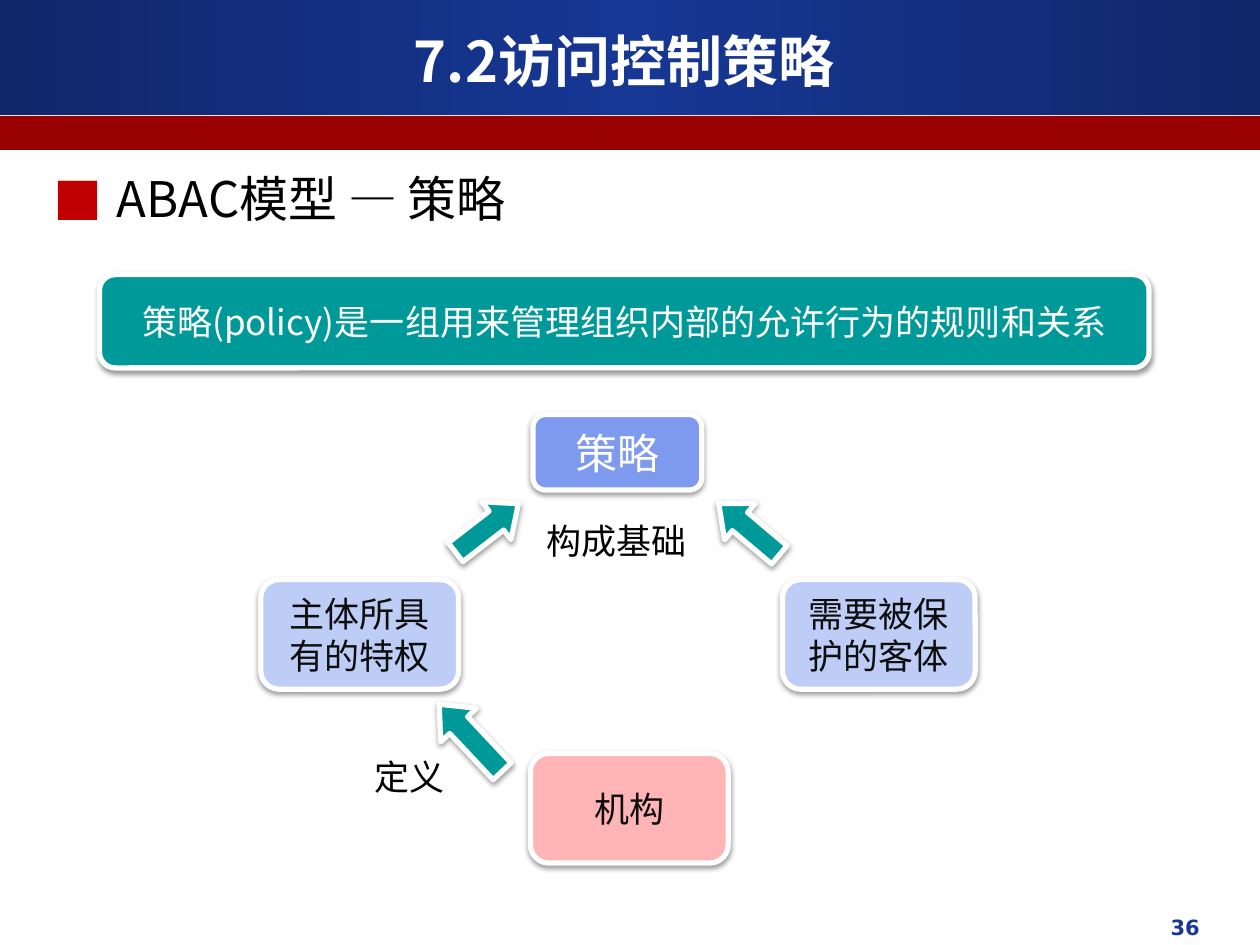
from copy import deepcopy
from dataclasses import dataclass

from lxml import etree
from pptx import Presentation
from pptx.dml.color import RGBColor
from pptx.enum.shapes import MSO_SHAPE as Preset
from pptx.enum.text import MSO_ANCHOR as Anchor, PP_ALIGN as Align
from pptx.oxml.ns import qn
from pptx.util import Inches, Pt

NAVY = RGBColor(0x10, 0x27, 0x6A)
BLUE = RGBColor(0x16, 0x37, 0x94)
DARK_RED = RGBColor(0x99, 0x00, 0x00)
TEAL = RGBColor(0x00, 0x99, 0x99)
PERIWINKLE = RGBColor(0x7E, 0x9A, 0xEE)
PALE_BLUE = RGBColor(0xBE, 0xCD, 0xF6)
PINK = RGBColor(0xFF, 0xB5, 0xB5)
WHITE = RGBColor(0xFF, 0xFF, 0xFF)
BLACK = RGBColor(0x00, 0x00, 0x00)
INK = RGBColor(0x0D, 0x0D, 0x0D)
CJK_FONT = "Noto Sans CJK SC"
NUMBER_FONT = "DejaVu Sans"


@dataclass
class Area:
    left: float
    top: float
    width: float
    height: float

    def emu(self) -> tuple:
        return tuple(Inches(v) for v in (self.left, self.top, self.width, self.height))


@dataclass
class Box:
    text: str
    area: Area
    fill: RGBColor
    color: RGBColor = INK
    size: int = 20


@dataclass
class Arrow:
    area: Area
    rotation: float


@dataclass
class Label:
    text: str
    area: Area
    size: int = 20
    color: RGBColor = BLACK
    font: str = CJK_FONT
    bold: bool = False
    align: Align = Align.LEFT


BOXES = [
    Box("策略(policy)是一组用来管理组织内部的允许行为的规则和关系",
        Area(0.79, 2.18, 8.33, 0.74), TEAL, WHITE),
    Box("策略", Area(4.23, 3.29, 1.34, 0.6), PERIWINKLE, WHITE, 24),
    Box("主体所具有的特权", Area(2.07, 4.6, 1.57, 0.87), PALE_BLUE),
    Box("需要被保护的客体", Area(6.21, 4.6, 1.53, 0.87), PALE_BLUE),
    Box("机构", Area(4.21, 5.98, 1.57, 0.87), PINK),
]
ARROWS = [
    Arrow(Area(3.37, 5.66, 0.73, 0.39), 226.8),
    Arrow(Area(3.55, 4.0, 0.63, 0.38), 322.3),
    Arrow(Area(5.63, 4.01, 0.63, 0.38), 220.2),
]
HEADING = Label("ABAC模型 — 策略", Area(0.33, 1.29, 9.02, 0.57), 28)
LABELS = [
    Label("构成基础", Area(4.24, 4.07, 1.34, 0.44)),
    Label("定义", Area(2.87, 5.95, 1.18, 0.44)),
    Label("36", Area(6.45, 7.21, 3.17, 0.35), 12, BLUE, NUMBER_FONT, True, Align.RIGHT),
]


def write(frame, text: str, size: int, color: RGBColor, align: Align,
          font: str = CJK_FONT, bold: bool = False) -> None:
    frame.text = text
    frame.word_wrap = True
    paragraph = frame.paragraphs[0]
    paragraph.alignment = align
    run = paragraph.runs[0]
    run.font.size, run.font.bold, run.font.name = Pt(size), bold, font
    run.font.color.rgb = color
    east_asian = etree.Element(qn("a:ea"), typeface=font)
    run.font._element.find(qn("a:latin")).addnext(east_asian)


def add_band(slide, area: Area, color: RGBColor):
    band = slide.shapes.add_shape(Preset.RECTANGLE, *area.emu())
    band.shadow.inherit = False
    band.line.fill.background()
    band.fill.solid()
    band.fill.fore_color.rgb = color
    return band


def add_gradient(band) -> None:
    band.fill.gradient()
    band.fill.gradient_angle = 0
    first = band._element.spPr.find(".//" + qn("a:gs"))
    first.addnext(deepcopy(first))
    for stop, (position, color) in zip(band.fill.gradient_stops,
                                       [(0, NAVY), (0.5, BLUE), (1, NAVY)]):
        stop.position = position
        stop.color.rgb = color


def add_raised(slide, preset: Preset, area: Area, fill: RGBColor):
    """A filled shape with a white outline and a soft shadow below it."""
    shape = slide.shapes.add_shape(preset, *area.emu())
    shape.fill.solid()
    shape.fill.fore_color.rgb = fill
    shape.line.color.rgb = WHITE
    shape.line.width = Pt(3)
    shape.shadow.inherit = False
    effects = shape._element.spPr.find(qn("a:effectLst"))
    shadow = etree.SubElement(effects, qn("a:outerShdw"), blurRad=str(Pt(3.1)),
                              dist=str(Pt(1.6)), dir="5400000", rotWithShape="0")
    tint = etree.SubElement(shadow, qn("a:srgbClr"), val=str(BLACK))
    etree.SubElement(tint, qn("a:alpha"), val="38000")
    return shape


def add_box(slide, box: Box) -> None:
    shape = add_raised(slide, Preset.ROUNDED_RECTANGLE, box.area, box.fill)
    shape.text_frame.vertical_anchor = Anchor.MIDDLE
    write(shape.text_frame, box.text, box.size, box.color, Align.CENTER)


def add_arrow(slide, arrow: Arrow) -> None:
    shape = add_raised(slide, Preset.RIGHT_ARROW, arrow.area, TEAL)
    shape.adjustments[0], shape.adjustments[1] = 0.5, 0.58
    shape.rotation = arrow.rotation


def add_label(slide, label: Label):
    text_box = slide.shapes.add_textbox(*label.area.emu())
    write(text_box.text_frame, label.text, label.size, label.color,
          label.align, label.font, label.bold)
    return text_box


def add_bullet(paragraph) -> None:
    properties = paragraph._p.get_or_add_pPr()
    properties.set("marL", str(Inches(0.5)))
    properties.set("indent", str(Inches(-0.5)))
    color = etree.SubElement(properties, qn("a:buClr"))
    etree.SubElement(color, qn("a:srgbClr"), val="C00000")
    etree.SubElement(properties, qn("a:buFont"), typeface=CJK_FONT)
    etree.SubElement(properties, qn("a:buChar"), char="■")


def main() -> None:
    deck = Presentation()
    deck.slide_width, deck.slide_height = Inches(10), Inches(7.5)
    slide = deck.slides.add_slide(deck.slide_layouts[5])

    # Header bands, with the title brought in front of them
    add_gradient(add_band(slide, Area(0, 0, 10, 0.91), BLUE))
    add_band(slide, Area(0, 0.92, 10, 0.27), DARK_RED)
    title = slide.shapes.title
    title.left, title.top, title.width, title.height = Area(0.33, 0.17, 9.25, 0.62).emu()
    title.text_frame.vertical_anchor = Anchor.MIDDLE
    write(title.text_frame, "7.2访问控制策略", 32, WHITE, Align.CENTER, bold=True)
    slide.shapes._spTree.append(title._element)

    # Bulleted heading
    heading = add_label(slide, HEADING)
    add_bullet(heading.text_frame.paragraphs[0])

    # Policy diagram and page number
    for box in BOXES:
        add_box(slide, box)
    for arrow in ARROWS:
        add_arrow(slide, arrow)
    for label in LABELS:
        add_label(slide, label)

    deck.save("out.pptx")


if __name__ == "__main__":
    main()
